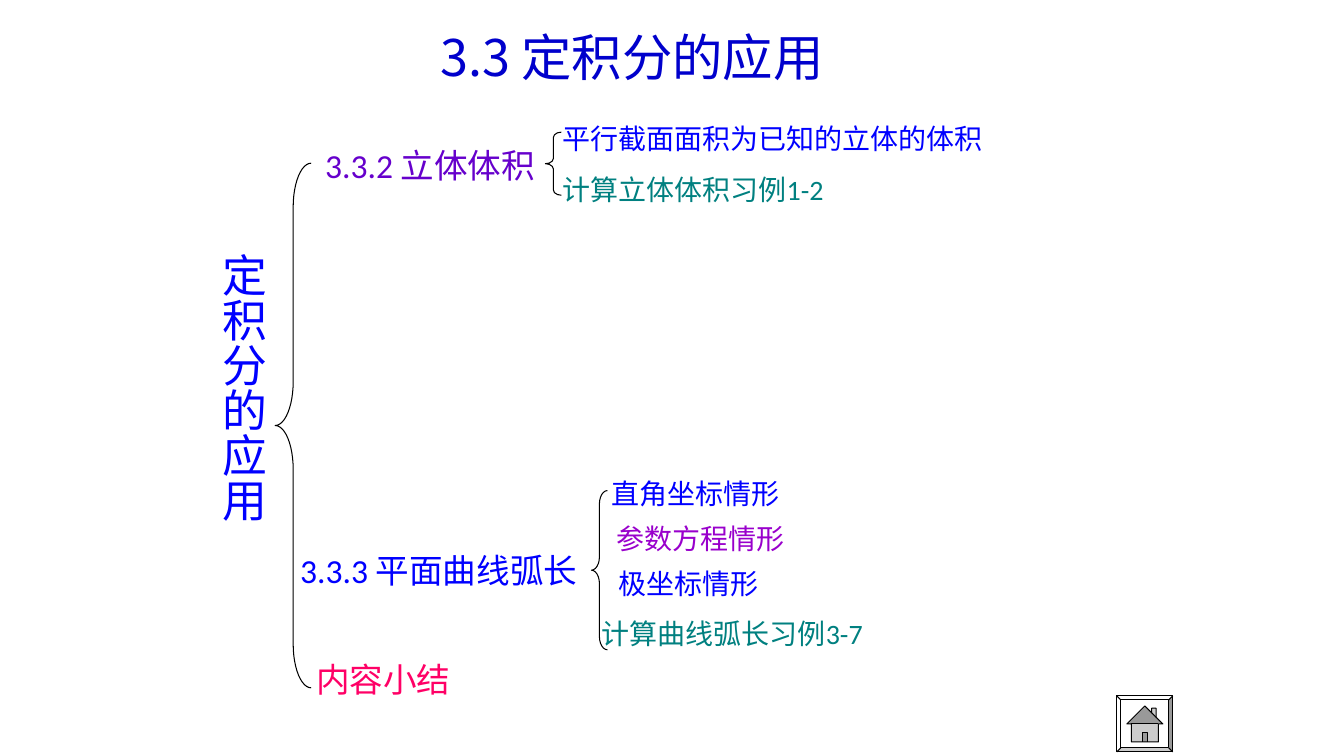
import pptx
import pptx.util
from pptx.dml.color import RGBColor
from pptx.enum.shapes import MSO_SHAPE
from pptx.enum.text import MSO_ANCHOR, PP_ALIGN

SLIDE_SIZE = (1343, 755)
COLORS = {
    "title": "0000CC",
    "blue": "0000FF",
    "indigo": "6600CC",
    "purple": "9900CC",
    "teal": "008080",
    "pink": "FF0066",
    "line": "000000",
    "face": "FFFFFF",
}
FONT = "Calibri"
TITLE_PARTS = [("3.3 ", "Noto Sans CJK SC"), ("定积分的应用", FONT)]
TITLE_BOX = (330, 21, 603, 71)
ROOT = "定积分的应用"
ROOT_BOX = (201, 243, 74, 364)

# text, left, top, width, size, colour
BRANCHES = [
    ("3.3.2 立体体积", 315, 140, 285, 24, "indigo"),
    ("平行截面面积为已知的立体的体积", 552, 116, 448, 20, "blue"),
    ("计算立体体积习例1-2", 552, 167, 309, 20, "teal"),
    ("3.3.3 平面曲线弧长", 290, 544, 318, 24, "blue"),
    ("直角坐标情形", 601, 471, 198, 20, "blue"),
    ("参数方程情形", 606, 516, 194, 20, "purple"),
    ("极坐标情形", 608, 561, 166, 20, "blue"),
    ("计算曲线弧长习例3-7", 591, 611, 317, 20, "teal"),
    ("内容小结", 306, 653, 222, 24, "pink"),
]
BRACES = [(545, 132, 16, 63), (591, 490, 16, 159), (275, 163, 36, 524)]
BUTTON_LEFT, BUTTON_TOP, BUTTON_SIDE, BUTTON_RIM = 1116, 695, 56, 4

EMU_PER_PX = 9080


def px(value):
    return pptx.util.Emu(value * EMU_PER_PX)


def color(key):
    return RGBColor.from_string(COLORS[key])


def add_text(box, parts, size, color_key, align=PP_ALIGN.LEFT):
    frame = slide.shapes.add_textbox(*map(px, box)).text_frame
    frame.word_wrap = True
    frame.vertical_anchor = MSO_ANCHOR.TOP
    paragraph = frame.paragraphs[0]
    paragraph.alignment = align
    paragraph.font.size = pptx.util.Pt(size)
    paragraph.font.color.rgb = color(color_key)
    for text, font_name in parts:
        run = paragraph.add_run()
        run.text = text
        run.font.name = font_name
    return frame


def add_outlined(kind, box, filled):
    shape = slide.shapes.add_shape(kind, *map(px, box))
    shape.shadow.inherit = False
    shape.line.color.rgb = color("line")
    shape.line.width = pptx.util.Pt(0.75)
    if filled:
        shape.fill.solid()
        shape.fill.fore_color.rgb = color("face")
    else:
        shape.fill.background()
    return shape


presentation = pptx.Presentation()
presentation.slide_width, presentation.slide_height = map(px, SLIDE_SIZE)
slide = presentation.slides.add_slide(presentation.slide_layouts[6])

add_text(TITLE_BOX, TITLE_PARTS, 36, "title", PP_ALIGN.CENTER)

root = add_text(ROOT_BOX, [(ROOT, FONT)], 32, "blue", PP_ALIGN.CENTER)
root.margin_left = root.margin_right = px(5)
root.margin_top = root.margin_bottom = px(10)
root._txBody.bodyPr.set("vert", "eaVert")

for text, left, top, width, size, color_key in BRANCHES:
    add_text((left, top, width, size * 2), [(text, FONT)], size, color_key)

for brace_box in BRACES:
    brace = add_outlined(MSO_SHAPE.LEFT_BRACE, brace_box, filled=False)
    width, height = brace_box[2:]
    brace.adjustments[0] = height / 12 / width  # curls span a twelfth of the height

rim = add_outlined(MSO_SHAPE.BEVEL, (BUTTON_LEFT, BUTTON_TOP, BUTTON_SIDE, BUTTON_SIDE), filled=True)
rim.adjustments[0] = BUTTON_RIM / BUTTON_SIDE
home_side = BUTTON_SIDE - 2 * BUTTON_RIM
add_outlined(
    MSO_SHAPE.ACTION_BUTTON_HOME,
    (BUTTON_LEFT + BUTTON_RIM, BUTTON_TOP + BUTTON_RIM, home_side, home_side),
    filled=True,
)

presentation.save("out.pptx")
